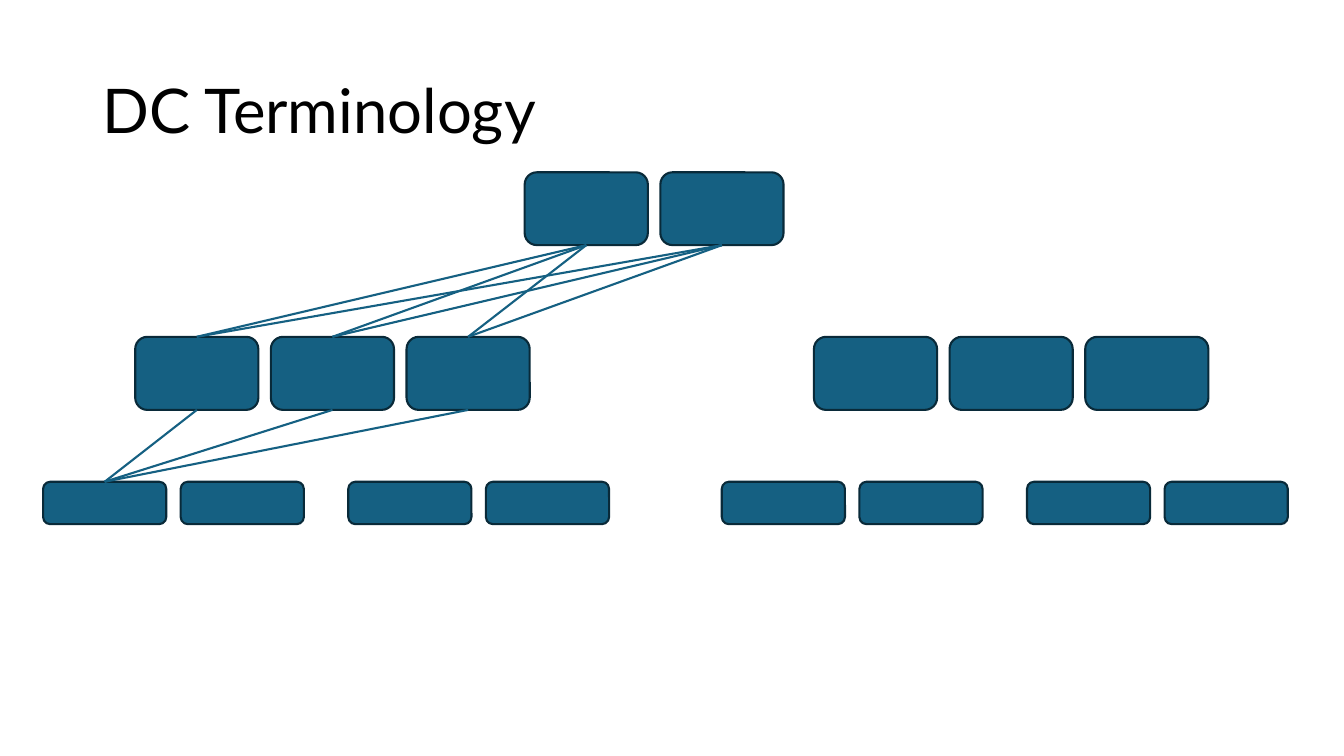
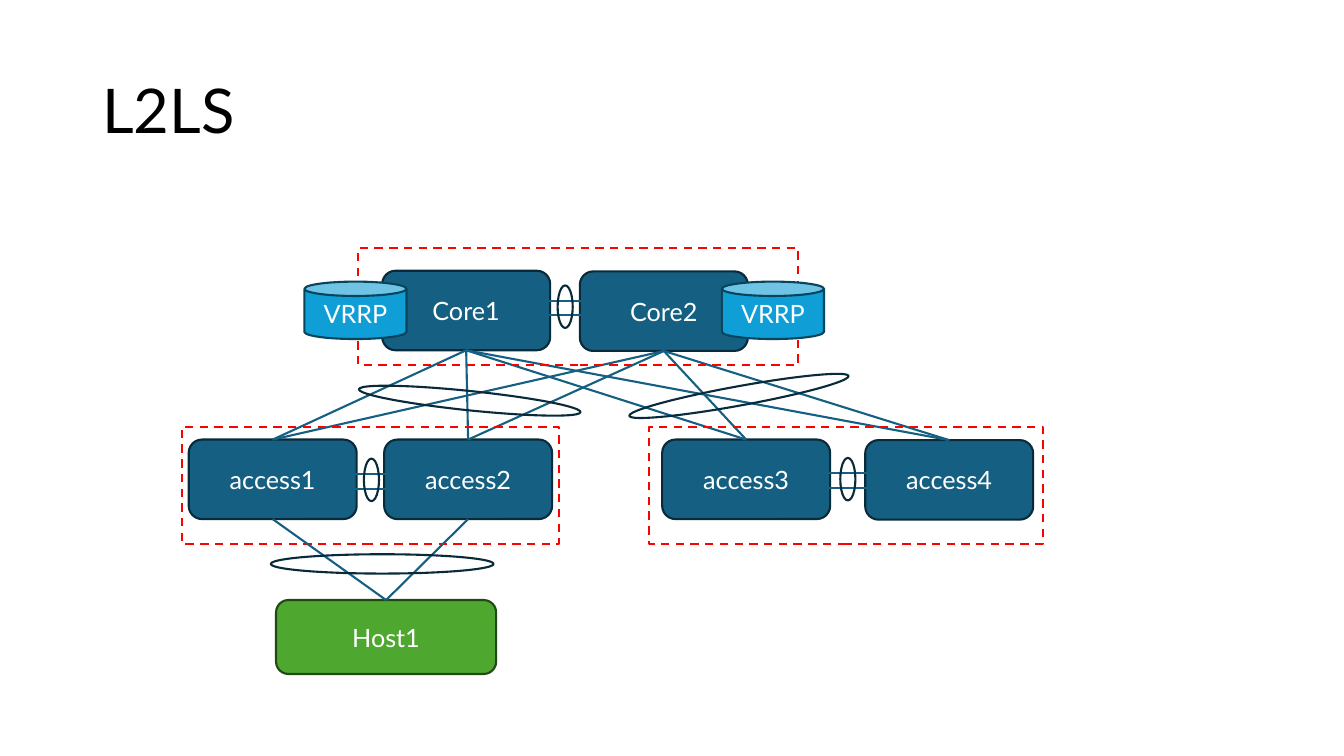
from itertools import product

from lxml import etree
from pptx import Presentation
from pptx.dml.color import RGBColor
from pptx.enum.dml import MSO_LINE
from pptx.enum.shapes import MSO_CONNECTOR, MSO_SHAPE
from pptx.enum.text import MSO_ANCHOR, PP_ALIGN
from pptx.oxml.ns import qn
from pptx.util import Pt

BLUE = RGBColor(0x15, 0x60, 0x82)
NAVY = RGBColor(0x09, 0x2A, 0x39)
SKY = RGBColor(0x0F, 0x9E, 0xD5)
TEAL = RGBColor(0x07, 0x45, 0x5D)
GREEN = RGBColor(0x4E, 0xA7, 0x2E)
MOSS = RGBColor(0x22, 0x49, 0x14)
RED = RGBColor(0xFF, 0x00, 0x00)
BLACK = RGBColor(0x00, 0x00, 0x00)
WHITE = RGBColor(0xFF, 0xFF, 0xFF)

FONT = "Lato"
STROKE = Pt(1.5)
ROUND = MSO_SHAPE.ROUNDED_RECTANGLE
RECT = MSO_SHAPE.RECTANGLE
OVAL = MSO_SHAPE.OVAL
CAN = MSO_SHAPE.CAN
DASH = MSO_LINE.DASH
STRAIGHT = MSO_CONNECTOR.STRAIGHT
MIDDLE = MSO_ANCHOR.MIDDLE
LEFT = PP_ALIGN.LEFT
CENTER = PP_ALIGN.CENTER
TOP, BOTTOM = 0, 2  # connection sites of a rounded box


def write(shape, text, size=18, color=WHITE, align=CENTER, spacing=None):
    frame = shape.text_frame
    frame.word_wrap = True
    frame.vertical_anchor = MIDDLE
    para = frame.paragraphs[0]
    para.alignment = align
    para.line_spacing = spacing
    run = para.add_run()
    run.text = text
    run.font.name = FONT
    run.font.size = Pt(size)
    run.font.color.rgb = color


def add_page(deck, title):
    slide = deck.slides.add_slide(deck.slide_layouts[6])
    box = slide.shapes.add_textbox(Pt(66), Pt(28.75), Pt(828), Pt(104.4))
    write(box, title, size=44, color=BLACK, align=LEFT, spacing=0.9)
    return slide


def add_form(slide, kind, x, y, w, h, fill=None, line=NAVY, text=None):
    form = slide.shapes.add_shape(kind, Pt(x), Pt(y), Pt(w), Pt(h))
    form.shadow.inherit = False
    if fill is None:
        form.fill.background()
    else:
        form.fill.solid()
        form.fill.fore_color.rgb = fill
    form.line.color.rgb = line
    form.line.width = STROKE
    if text:
        write(form, text)
    return form


def add_line(slide, x1=0, y1=0, x2=0, y2=0):
    line = slide.shapes.add_connector(STRAIGHT, Pt(x1), Pt(y1), Pt(x2), Pt(y2))
    line.line.color.rgb = BLUE
    line.line.width = STROKE
    etree.SubElement(line._element.spPr, qn("a:effectLst"))
    return line


def mesh(slide, lows, highs):
    """Join the top of every low box to the bottom of every high box."""
    for low, high in product(lows, highs):
        line = add_line(slide)
        line.begin_connect(low, TOP)
        line.end_connect(high, BOTTOM)


def add_row(slide, lefts, y, h):
    return [add_form(slide, ROUND, x, y, 88, h, BLUE) for x in lefts]


def add_frame(slide, x, y, w):
    add_form(slide, RECT, x, y, w, 83.6, line=RED).line.dash_style = DASH


def add_peer(slide, x, y):
    """Two short links held by an upright ring."""
    for step in (0, 10.5):
        add_line(slide, x + 41.2, y + step, x, y + step)
    add_form(slide, OVAL, x + 16, y - 10.9, 10.8, 30.4)


def add_ring(slide, x, y, turn):
    """Long ring centred on x, y and turned by some degrees."""
    w, h = 13.8, 159.2
    add_form(slide, OVAL, x - w / 2, y - h / 2, w, h).rotation = turn


def build_terms(deck):
    slide = add_page(deck, "DC Terminology")
    pitch, shift = 96.9, 484.8
    spines, leaves = [], []
    for pod in range(2):
        left = pod * shift
        spines += add_row(slide, [96.6 + left + i * pitch for i in range(3)],
                          240.6, 52.2)
        leaves += add_row(slide, [30.8 + left + pair * 218 + i * 98.3
                                  for pair in range(2) for i in range(2)],
                          344.1, 30.3)
    cores = add_row(slide, [374.8 + i * pitch for i in range(2)], 123.1, 52)
    mesh(slide, spines[:3], cores)
    mesh(slide, leaves[:1], spines[:3])


def build_layers(deck):
    slide = add_page(deck, "L2LS")
    nodes = [
        add_form(slide, ROUND, x, y, 120, 56.8, BLUE, text=name)
        for name, x, y in (
            ("Core1", 273, 193.4), ("Core2", 414.2, 193.9),
            ("access1", 134.8, 314), ("access2", 274.4, 314),
            ("access3", 473, 314), ("access4", 618, 314.4))
    ]
    cores, access = nodes[:2], nodes[2:]
    mesh(slide, access, cores)

    for x, y, w in ((255.8, 177.2, 314.4), (129.8, 304.8, 269.8),
                    (463.6, 304.8, 281.4)):
        add_frame(slide, x, y, w)
    for x, y in ((382.3, 214.8), (243.9, 338.5), (584.2, 338)):
        add_peer(slide, x, y)
    for x, y, turn in ((335.5, 286.2, 95.9), (527.8, 282.8, 79.7)):
        add_ring(slide, x, y, turn)
    for x in (515.6, 217.4):
        add_form(slide, CAN, x, 201.2, 73, 41, SKY, TEAL, "VRRP")

    host = add_form(slide, ROUND, 197.2, 428.6, 157.2, 52.8,
                    GREEN, MOSS, "Host1")
    mesh(slide, [host], access[:2])
    add_ring(slide, 273, 402.8, 90)


def main():
    deck = Presentation()
    deck.slide_width, deck.slide_height = Pt(960), Pt(540)
    build_terms(deck)
    build_layers(deck)
    deck.save("out.pptx")


if __name__ == "__main__":
    main()
